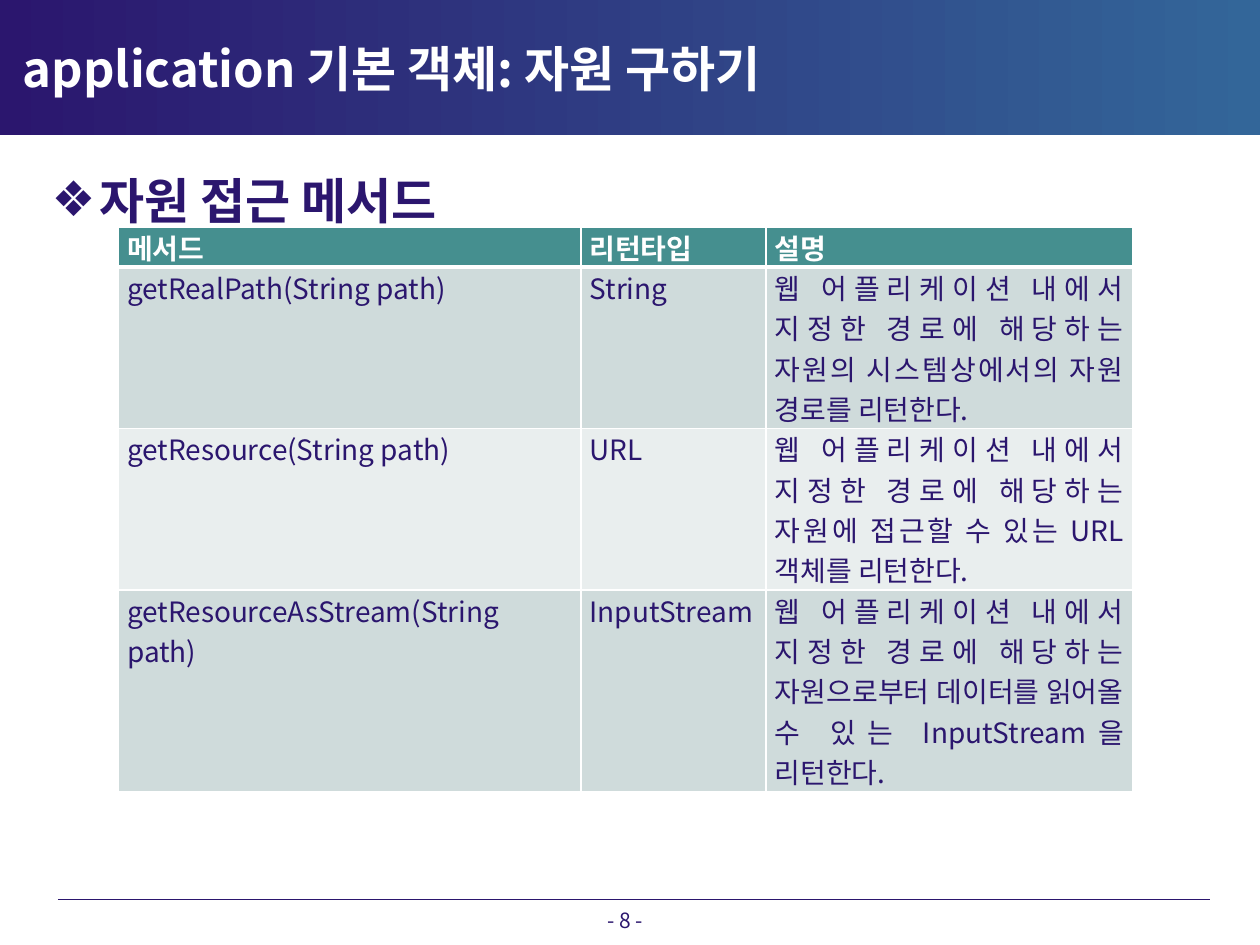
from lxml import etree
from pptx import Presentation
from pptx import util as u
from pptx.dml.color import RGBColor
from pptx.enum import shapes, text
from pptx.oxml.ns import qn

# Content
TITLE = "application 기본 객체: 자원 구하기"
HEADING = "자원 접근 메서드"
PAGE = "- 8 -"
HEADER = ("메서드", "리턴타입", "설명")
COMMON = "웹 어플리케이션 내에서 지정한 경로에 해당하는 "
METHODS = [
    ("getRealPath(String path)", "String",
     COMMON + "자원의 시스템상에서의 자원 경로를 리턴한다."),
    ("getResource(String path)", "URL",
     COMMON + "자원에 접근할 수 있는 URL 객체를 리턴한다."),
    ("getResourceAsStream(String path)", "InputStream",
     COMMON + "자원으로부터 데이터를 읽어올 수 있는 InputStream을 리턴한다."),
]

# Look
FONT = "Noto Sans CJK KR"
NAVY, BLUE, WHITE = "2B166E", "336699", "FFFFFF"
TEAL, BANDS = "458F8F", ("CFDBDB", "E9EEEE")
COLUMNS = (3.67, 1.47, 2.91)
ROWS = (0.3, 1.21, 1.21, 1.51)


def rgb(value):
    return RGBColor.from_string(value)


def box(*inches):
    return [u.Inches(n) for n in inches]


def place(shape, *inches):
    shape.left, shape.top, shape.width, shape.height = box(*inches)


def write(frame, words, size, color, bold=False, align=text.PP_ALIGN.LEFT):
    paragraph = frame.paragraphs[0]
    paragraph.text = words
    paragraph.alignment = align
    font = paragraph.font
    font.size, font.bold, font.name = u.Pt(size), bold, FONT
    font.color.rgb = rgb(color)
    latin = paragraph._p.pPr.find(qn("a:defRPr")).find(qn("a:latin"))
    east_asian = etree.Element(qn("a:ea"), typeface=FONT)
    latin.addnext(east_asian)
    return paragraph


def add_bullet(paragraph, mark, color, indent):
    props = paragraph._p.get_or_add_pPr()
    props.set("marL", str(u.Inches(indent)))
    props.set("indent", str(-u.Inches(indent)))
    bullet_color = etree.Element(qn("a:buClr"))
    etree.SubElement(bullet_color, qn("a:srgbClr"), val=color)
    bullet = etree.Element(qn("a:buChar"), char=mark)
    defaults = props.find(qn("a:defRPr"))
    defaults.addprevious(bullet_color)
    defaults.addprevious(bullet)


def add_borders(cell, widths):
    props = cell._tc.get_or_add_tcPr()
    for index, (side, points) in enumerate(widths.items()):
        line = etree.Element(qn("a:ln" + side), w=str(u.Pt(points)))
        fill = etree.SubElement(line, qn("a:solidFill"))
        etree.SubElement(fill, qn("a:srgbClr"), val=WHITE)
        props.insert(index, line)


prs = Presentation()
prs.slide_width, prs.slide_height = box(10, 7.5)
slide = prs.slides.add_slide(prs.slide_layouts[1])
title, body = slide.placeholders

# Title band, behind the title
band = slide.shapes.add_shape(shapes.MSO_SHAPE.RECTANGLE, *box(0, 0, 10, 1.07))
band.shadow.inherit = False
band.line.fill.background()
band.fill.gradient()
band.fill.gradient_angle = 0
for stop, color, position in zip(band.fill.gradient_stops, (NAVY, BLUE), (0, 1)):
    stop.color.rgb, stop.position = rgb(color), position
title._element.addprevious(band._element)

# Title and heading
place(title, 0.08, 0.23, 7.5, 0.62)
title.text_frame.vertical_anchor = text.MSO_ANCHOR.MIDDLE
write(title.text_frame, TITLE, 28, WHITE, bold=True)
place(body, 0.31, 1.3, 9.3, 5.57)
heading = write(body.text_frame, HEADING, 28, NAVY, bold=True)
heading.space_before = u.Pt(5.6)
add_bullet(heading, "❖", NAVY, 0.38)

# Method table
table = slide.shapes.add_table(
    len(ROWS), len(COLUMNS), *box(0.94, 1.8, sum(COLUMNS), sum(ROWS))).table
for column, width in zip(table.columns, COLUMNS):
    column.width = u.Inches(width)
for row, height in zip(table.rows, ROWS):
    row.height = u.Inches(height)
for r, entries in enumerate([HEADER] + METHODS):
    is_header = r == 0
    for c, words in enumerate(entries):
        cell = table.cell(r, c)
        cell.margin_left = cell.margin_right = u.Inches(0.07)
        cell.margin_top = cell.margin_bottom = 0
        cell.fill.solid()
        cell.fill.fore_color.rgb = rgb(TEAL if is_header else BANDS[(r - 1) % 2])
        add_borders(cell, {"L": 1, "R": 1, "T": 3 if r == 1 else 1,
                           "B": 3 if is_header else 1})
        write(cell.text_frame, words, 16, WHITE if is_header else NAVY,
              is_header, text.PP_ALIGN.JUSTIFY)

# Footer rule and page number
rule = slide.shapes.add_connector(
    shapes.MSO_CONNECTOR.STRAIGHT, *box(0.46, 7.14, 9.6, 7.14))
rule.line.color.rgb, rule.line.width = rgb(NAVY), u.Pt(0.75)
etree.SubElement(rule._element.spPr, qn("a:effectLst"))
page = slide.shapes.add_textbox(*box(3.98, 7.19, 1.96, 0.22)).text_frame
page.word_wrap = True
page.margin_top = page.margin_bottom = 0
page.vertical_anchor = text.MSO_ANCHOR.MIDDLE
write(page, PAGE, 12, NAVY, align=text.PP_ALIGN.CENTER)

prs.save("out.pptx")
